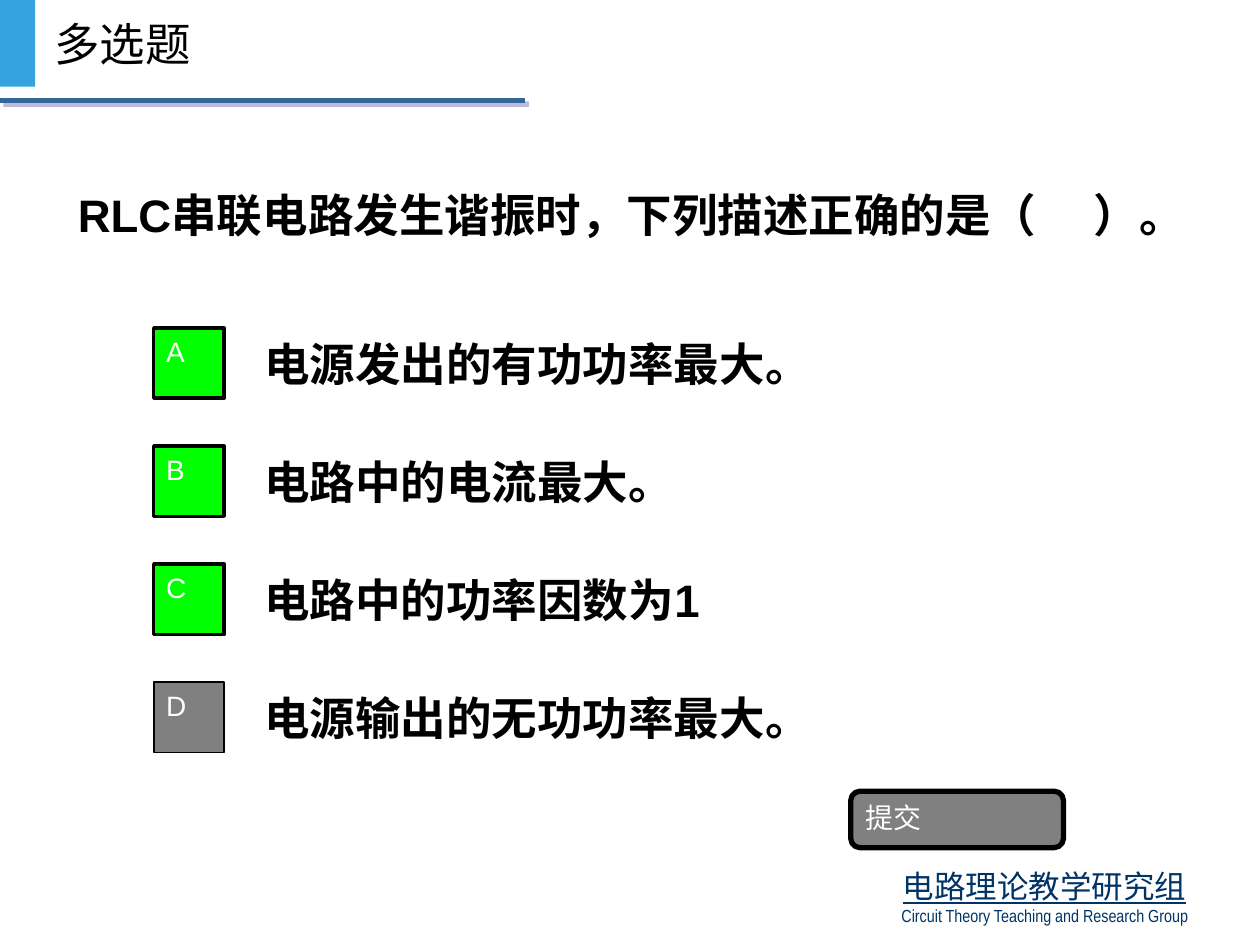
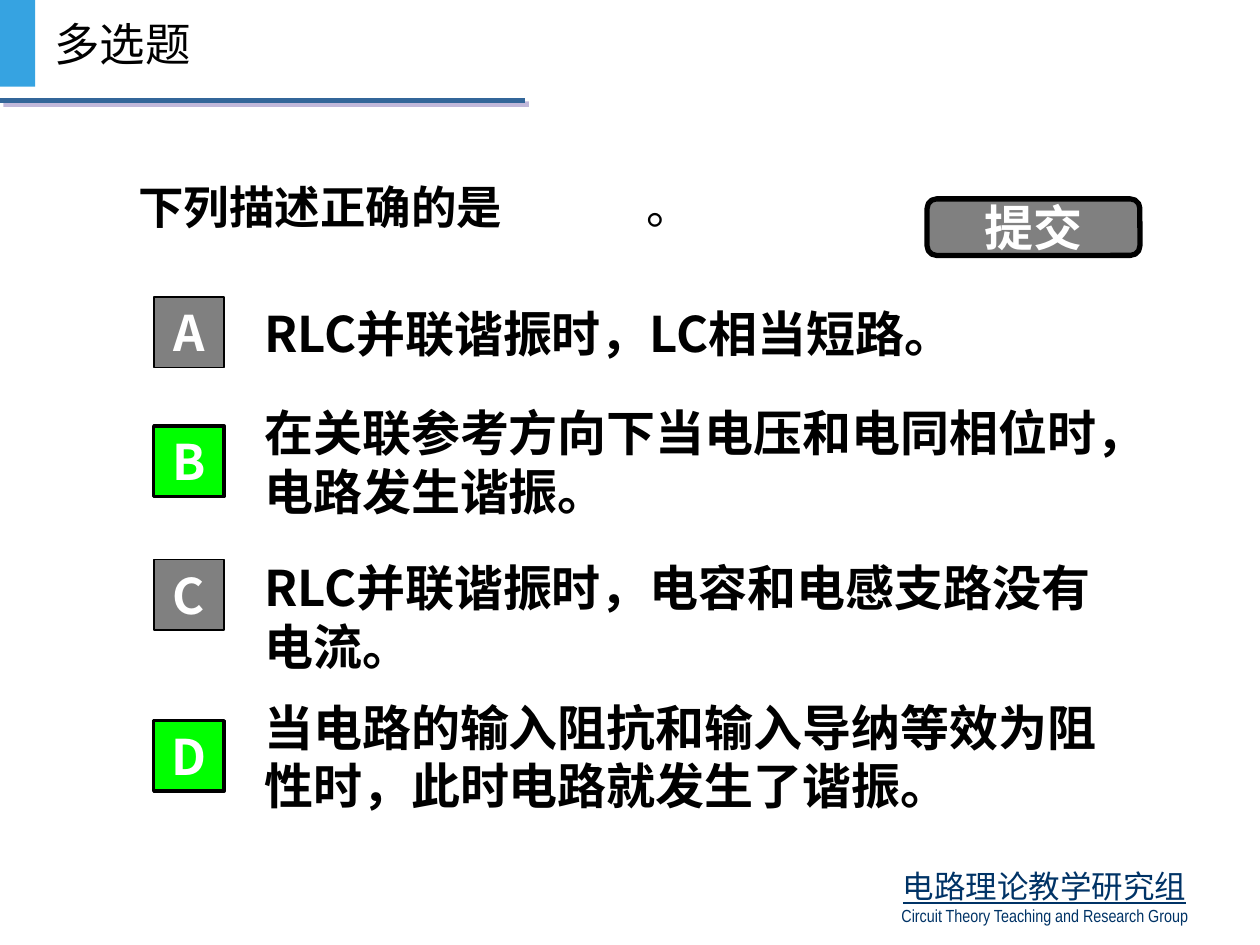
from lxml.etree import SubElement
from pptx import Presentation
from pptx.dml.color import RGBColor as RGB
from pptx.enum.shapes import MSO_CONNECTOR as Connector, MSO_SHAPE as Shape
from pptx.enum.text import MSO_ANCHOR as Anchor, PP_ALIGN as Align
from pptx.oxml.ns import qn
from pptx.util import Cm, Pt

COLORS = {
    "ink": "000000", "paper": "FFFFFF", "accent": "36A3E1", "rule": "336699",
    "rule_shadow": "8572B6", "group": "003366", "right": "00FF00", "wrong": "808080",
}
CJK = "Noto Sans CJK SC"
PLAIN = {"size": Pt(26), "name": "Arial"}
BOLD = {**PLAIN, "bold": True}
LARGE = {"size": Pt(28), "name": CJK, "bold": True}
SMALL = {"size": Pt(16), "name": "Arial"}
GROUP_NAME = {"size": Pt(18), "name": CJK, "underline": True}
GROUP_ENGLISH = {"size": Pt(10), "name": "Arial Narrow"}
BADGE_SIZE = 1.42
TIGHT = 1.2


def color(name):
    """Return the named colour."""
    return RGB.from_string(COLORS[name])


def write(paragraph, pieces, ink="ink", align=Align.LEFT, tab=None, leading=None):
    """Fill a paragraph with (text, format) pieces."""
    if tab:
        stops = SubElement(paragraph._p.get_or_add_pPr(), qn("a:tabLst"))
        SubElement(stops, qn("a:tab"), pos=str(Cm(tab)), algn="l")
    paragraph.alignment = align
    if leading:
        paragraph.line_spacing = Pt(round(leading * pieces[0][1]["size"].pt, 1))
    for text, style in pieces:
        run = paragraph.add_run()
        run.text = text
        run.font.color.rgb = color(ink)
        for key, value in style.items():
            setattr(run.font, key, value)
        SubElement(run._r.get_or_add_rPr(), qn("a:ea"), typeface=CJK)


def add_text(slide, box, anchor=Anchor.MIDDLE):
    """Add a wrapping text box and return its frame."""
    frame = slide.shapes.add_textbox(*map(Cm, box)).text_frame
    frame.word_wrap = True
    frame.vertical_anchor = anchor
    return frame


def add_block(slide, kind, box, fill, border=None):
    """Add a flat filled shape with an optional black border in points."""
    block = slide.shapes.add_shape(kind, *map(Cm, box))
    block.shadow.inherit = False
    block.fill.solid()
    block.fill.fore_color.rgb = color(fill)
    if border:
        block.line.color.rgb = color("ink")
        block.line.width = Pt(border)
    else:
        block.line.fill.background()
    return block


def add_button(slide, kind, box, label, fill, border, look):
    """Add a labelled answer badge or submit button."""
    frame = add_block(slide, kind, box, fill, border).text_frame
    frame.word_wrap = False
    frame.vertical_anchor = look["anchor"]
    write(frame.paragraphs[0], [(label, look["label"])], "paper", look["align"])


def add_header(slide, title):
    """Draw the accent block, the title and the shadowed rule."""
    add_block(slide, Shape.RECTANGLE, (0, 0, 0.71, 1.75), "accent")
    heading = add_text(slide, (0.84, 0, 3.53, 1.75))
    write(heading.paragraphs[0], [(title, PLAIN)])
    rule = slide.shapes.add_connector(Connector.STRAIGHT, 0, Cm(2.03), Cm(10.59), Cm(2.03))
    rule.line.color.rgb = color("rule")
    rule.line.width = Pt(3)
    effects = SubElement(rule._element.spPr, qn("a:effectLst"))
    shadow = SubElement(effects, qn("a:outerShdw"), dist=str(Pt(2.8)), dir="2700000",
                        algn="ctr", rotWithShape="0")
    tint = SubElement(shadow, qn("a:srgbClr"), val=COLORS["rule_shadow"])
    SubElement(tint, qn("a:alpha"), val="50000")


def add_footer(slide):
    """Write the name of the teaching group in both languages."""
    frame = add_text(slide, (17.15, 17.35, 7.82, 1.45), Anchor.TOP)
    write(frame.paragraphs[0], [("电路理论教学研究组", GROUP_NAME)], "group",
          Align.CENTER, leading=TIGHT)
    write(frame.add_paragraph(), [("Circuit Theory Teaching and Research Group", GROUP_ENGLISH)],
          "group", Align.CENTER)


def add_option(slide, top, badge_top, letter, answer, correct, look):
    """Place a lettered badge and its answer."""
    badge = (3.1, badge_top, BADGE_SIZE, BADGE_SIZE)
    fill, border = ("right", 2) if correct else ("wrong", 1)
    add_button(slide, Shape.RECTANGLE, badge, letter, fill, border, look)
    frame = add_text(slide, (5.08, top, 17.78, 1.78))
    write(frame.paragraphs[0], [(answer, look["answer"])], leading=look["leading"])


def add_question(prs, question, options, submit_at, look):
    """Build one multiple-choice slide."""
    slide = prs.slides.add_slide(prs.slide_layouts[6])
    add_footer(slide)
    add_header(slide, "多选题")
    stem = add_text(slide, question["box"])
    write(stem.paragraphs[0], question["pieces"], tab=question["tab"])
    for letter, (top, badge_top, answer, correct) in zip("ABCD", options):
        add_option(slide, top, badge_top, letter, answer, correct, look)
    add_button(slide, Shape.ROUNDED_RECTANGLE, (*submit_at, 4.29, 1.14), "提交", "wrong", 3, look)


def main():
    """Build both question slides and save them."""
    prs = Presentation()
    prs.slide_width, prs.slide_height = Cm(25.4), Cm(19.05)

    series_answers = [
        ("电源发出的有功功率最大。", True),
        ("电路中的电流最大。", True),
        ("电路中的功率因数为1", True),
        ("电源输出的无功功率最大。", False),
    ]
    add_question(
        prs,
        {"box": (1.32, 1.35, 24.05, 5.94), "tab": 20.48,
         "pieces": [("RLC串联电路发生谐振时，下列描述正确的是（\t）。", BOLD)]},
        [(6.43 + 2.38 * row, 6.61 + 2.38 * row, *answer)
         for row, answer in enumerate(series_answers)],
        (17.15, 15.95),
        {"label": SMALL, "answer": BOLD, "anchor": Anchor.TOP, "align": Align.LEFT,
         "leading": None},
    )

    add_question(
        prs,
        {"box": (2.54, 1.19, 20.32, 5.94), "tab": 10.25,
         "pieces": [("下列描述正确的是", BOLD), ("\t", {**PLAIN, "underline": True}),
                    ("。", PLAIN)]},
        [(5.82, 5.99, "RLC并联谐振时，LC相当短路。", False),
         (8.41, 8.59, "在关联参考方向下当电压和电同相位时，电路发生谐振。", True),
         (11.53, 11.28, "RLC并联谐振时，电容和电感支路没有电流。", False),
         (14.35, 14.53, "当电路的输入阻抗和输入导纳等效为阻性时，此时电路就发生了谐振。", True)],
        (18.69, 4.01),
        {"label": LARGE, "answer": LARGE, "anchor": Anchor.MIDDLE, "align": Align.CENTER,
         "leading": TIGHT},
    )
    prs.save("out.pptx")


if __name__ == "__main__":
    main()
